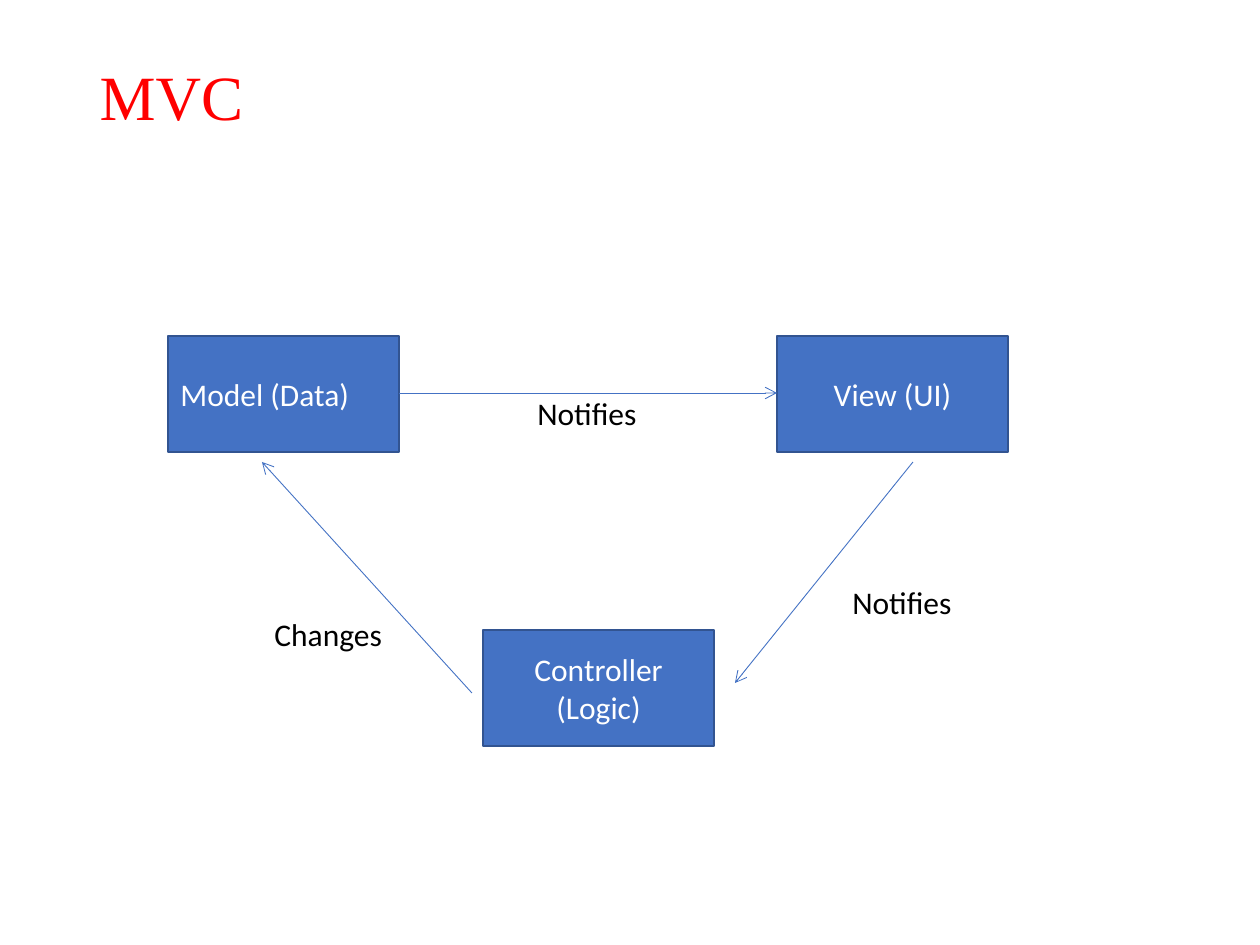
from dataclasses import dataclass
from lxml.etree import SubElement
from pptx import Presentation
from pptx.dml.color import RGBColor
from pptx.enum.shapes import MSO_CONNECTOR as Connector, MSO_SHAPE as Shape
from pptx.enum.text import MSO_ANCHOR as Anchor, MSO_AUTO_SIZE as AutoSize, PP_ALIGN as Align
from pptx.oxml.ns import qn
from pptx.util import Emu, Pt

TITLE = ("MVC", (87, 43, 1086, 115))
BOX_SIZE = (231, 116)
BOXES = [
    ("Model (Data)", (168, 336), Align.LEFT),
    ("Controller (Logic)", (483, 630), Align.CENTER),
    ("View (UI)", (777, 336), Align.CENTER),
]
ARROWS = [
    ((399, 393), (777, 393)),
    ((913, 462), (735, 683)),
    ((472, 693), (262, 462)),
]
LABELS = [
    ("Notifies", (525, 388, 126, 50)),
    ("Notifies", (840, 577, 126, 50)),
    ("Changes", (262, 609, 135, 50)),
]


@dataclass(frozen=True)
class Theme:
    title_font: str = "Times New Roman"
    body_font: str = "Calibri"
    title_size: float = 36
    body_size: float = 18
    border_width: float = 1
    arrow_width: float = 0.5
    title: str = "FF0000"
    fill: str = "4472C4"
    border: str = "325491"
    box_text: str = "FFFFFF"
    label_text: str = "000000"


THEME = Theme()


def px(*lengths):
    return [Emu(round(length * 914400 / 126)) for length in lengths]


def write(frame, text, font, size, color, align):
    para = frame.paragraphs[0]
    para.alignment = align
    span = para.add_run()
    span.text = text
    span.font.name = font
    span.font.size = Pt(size)
    span.font.color.rgb = RGBColor.from_string(color)
    return para


def add_title(page):
    text, area = TITLE
    title = page.shapes.title
    title.left, title.top, title.width, title.height = px(*area)
    frame = title.text_frame
    frame.auto_size = AutoSize.NONE
    frame.vertical_anchor = Anchor.MIDDLE
    para = write(frame, text, THEME.title_font, THEME.title_size, THEME.title, Align.LEFT)
    para.line_spacing = 0.9


def add_box(page, text, corner, align):
    box = page.shapes.add_shape(Shape.RECTANGLE, *px(*corner, *BOX_SIZE))
    box.shadow.inherit = False
    box.fill.solid()
    box.fill.fore_color.rgb = RGBColor.from_string(THEME.fill)
    box.line.color.rgb = RGBColor.from_string(THEME.border)
    box.line.width = Pt(THEME.border_width)
    frame = box.text_frame
    frame.word_wrap = True
    frame.vertical_anchor = Anchor.MIDDLE
    write(frame, text, THEME.body_font, THEME.body_size, THEME.box_text, align)


def add_arrow(page, start, end):
    arrow = page.shapes.add_connector(Connector.STRAIGHT, *px(*start, *end))
    arrow.line.color.rgb = RGBColor.from_string(THEME.fill)
    arrow.line.width = Pt(THEME.arrow_width)
    SubElement(arrow.line._get_or_add_ln(), qn("a:tailEnd"), type="arrow")
    SubElement(arrow._element.spPr, qn("a:effectLst"))


def add_label(page, text, area):
    frame = page.shapes.add_textbox(*px(*area)).text_frame
    frame.word_wrap = False
    frame.auto_size = AutoSize.SHAPE_TO_FIT_TEXT
    write(frame, text, THEME.body_font, THEME.body_size, THEME.label_text, Align.LEFT)


def main():
    deck = Presentation()
    deck.slide_width, deck.slide_height = px(1260, 945)
    page = deck.slides.add_slide(deck.slide_layouts[5])
    add_title(page)
    for box in BOXES:
        add_box(page, *box)
    for arrow in ARROWS:
        add_arrow(page, *arrow)
    for label in LABELS:
        add_label(page, *label)
    deck.save("out.pptx")


if __name__ == "__main__":
    main()
